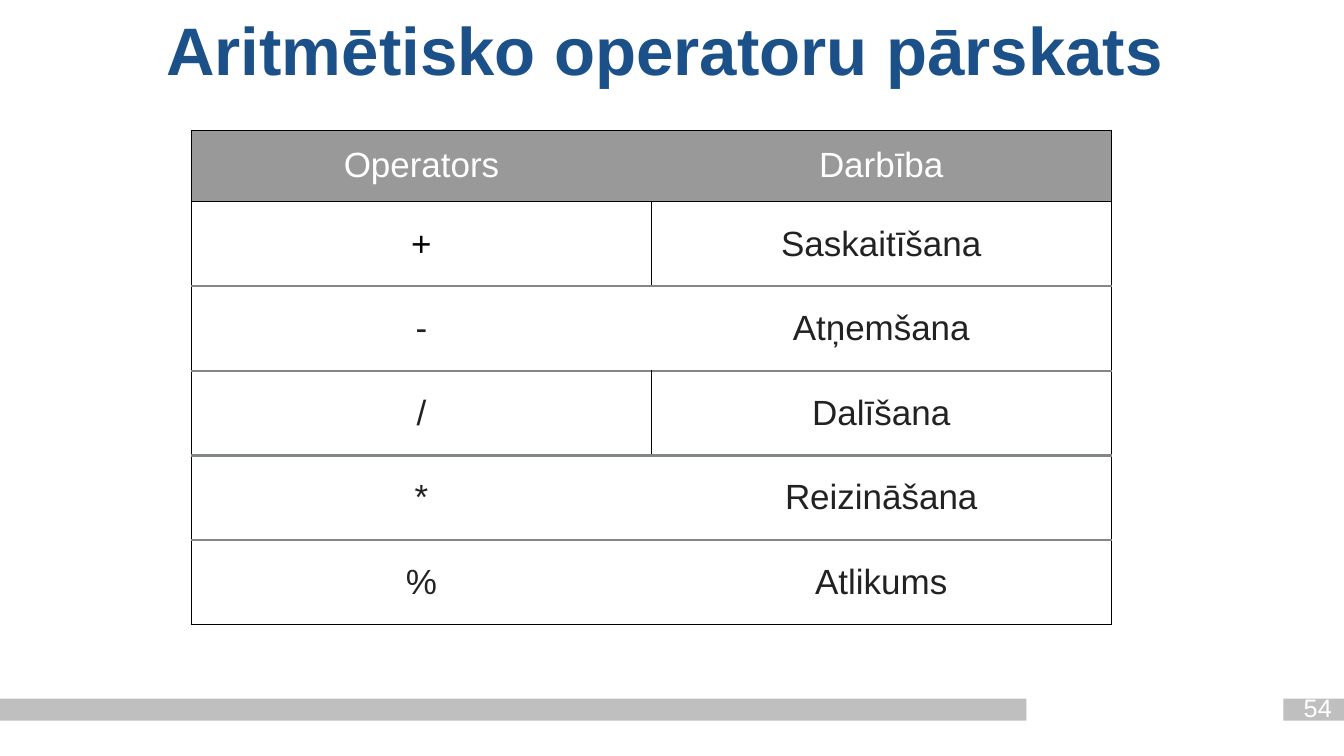
from lxml.etree import SubElement
from pptx import Presentation
from pptx.dml.color import RGBColor
from pptx.enum.shapes import MSO_SHAPE as Shape
from pptx.enum.text import MSO_ANCHOR as Anchor, PP_ALIGN as Align
from pptx.oxml.ns import qn
from pptx.util import Inches, Pt

BLUE = RGBColor(0x1B, 0x50, 0x89)
WHITE = RGBColor(0xFF, 0xFF, 0xFF)
BLACK = RGBColor(0x00, 0x00, 0x00)
INK = RGBColor(0x22, 0x22, 0x22)
HEADER_GREY = RGBColor(0x99, 0x99, 0x99)
RULE_GREY = RGBColor(0x83, 0x87, 0x87)
BAR_GREY = RGBColor(0xBF, 0xBF, 0xBF)

THIN = (BLACK, 0.75)
RULE = (RULE_GREY, 2)

OPERATORS = [
    ("Operators", "Darbība"),
    ("+", "Saskaitīšana"),
    ("-", "Atņemšana"),
    ("/", "Dalīšana"),
    ("*", "Reizināšana"),
    ("%", "Atlikums"),
]
DIVIDED_ROWS = (1, 3)


class SlideBuilder:
    font = "Arial"

    def __init__(self, slide):
        self.slide = slide

    def paragraph(self, frame, text, size, color, bold=False, spacing=None):
        paragraph = frame.paragraphs[0]
        paragraph.alignment = Align.CENTER
        paragraph.line_spacing = spacing
        run = paragraph.add_run()
        run.text = text
        style = {"name": self.font, "size": Pt(size), "bold": bold}
        for attribute, value in style.items():
            setattr(run.font, attribute, value)
        run.font.color.rgb = color

    def text(self, box, text, size, color, **style):
        frame = self.slide.shapes.add_textbox(*map(Inches, box)).text_frame
        frame.word_wrap = True
        frame.vertical_anchor = Anchor.MIDDLE
        self.paragraph(frame, text, size, color, **style)

    def bar(self, box, color):
        bar = self.slide.shapes.add_shape(Shape.RECTANGLE, *map(Inches, box))
        bar.shadow.inherit = False
        bar.fill.solid()
        bar.fill.fore_color.rgb = color
        bar.line.fill.background()

    def border(self, cell, side, line):
        color, width = line or (None, 0)
        edge = SubElement(cell._tc.get_or_add_tcPr(), qn(f"a:ln{side}"), w=str(Pt(width)))
        if line:
            fill = SubElement(edge, qn("a:solidFill"))
            SubElement(fill, qn("a:srgbClr"), val=str(color))
        else:
            SubElement(edge, qn("a:noFill"))

    def cell(self, cell, text, color, fill, borders):
        margins = ("margin_left", "margin_top", "margin_right", "margin_bottom")
        layout = dict.fromkeys(margins, Inches(0.04))
        layout["vertical_anchor"] = Anchor.MIDDLE
        for attribute, value in layout.items():
            setattr(cell, attribute, value)
        for side, line in borders.items():
            self.border(cell, side, line)
        cell.fill.solid()
        cell.fill.fore_color.rgb = fill
        self.paragraph(cell.text_frame, text, 25, color)

    def table(self, box, rows, header_height, row_height):
        table = self.slide.shapes.add_table(len(rows), 2, *map(Inches, box)).table
        table.first_row = table.horz_banding = False
        last = len(rows) - 1
        for r, texts in enumerate(rows):
            table.rows[r].height = Inches(row_height if r else header_height)
            divider = THIN if r in DIVIDED_ROWS else None
            for c, text in enumerate(texts):
                borders = {
                    "L": divider if c else THIN,
                    "R": THIN if c else divider,
                    "T": THIN if r < 2 else RULE,
                    "B": THIN if r in (0, last) else RULE,
                }
                color = WHITE if r == 0 else BLACK if text == "+" else INK
                fill = WHITE if r else HEADER_GREY
                self.cell(table.cell(r, c), text, color, fill, borders)


def main():
    deck = Presentation()
    deck.slide_width, deck.slide_height = Inches(13.33), Inches(7.5)
    builder = SlideBuilder(deck.slides.add_slide(deck.slide_layouts[6]))

    # Footer bars
    for left, width in ((0, 10.18), (12.73, 0.6)):
        builder.bar((left, 6.93, width, 0.22), BAR_GREY)

    # Title
    builder.text((0.19, 0.1, 12.81, 0.87), "Aritmētisko operatoru pārskats",
                 48, BLUE, bold=True, spacing=0.9)

    # Operator overview
    builder.table((1.9, 1.29, 9.12, 4.91), OPERATORS, 0.71, 0.84)

    # Page number
    builder.text((12.74, 6.84, 0.66, 0.36), "54", 18, WHITE)

    deck.save("out.pptx")


if __name__ == "__main__":
    main()
